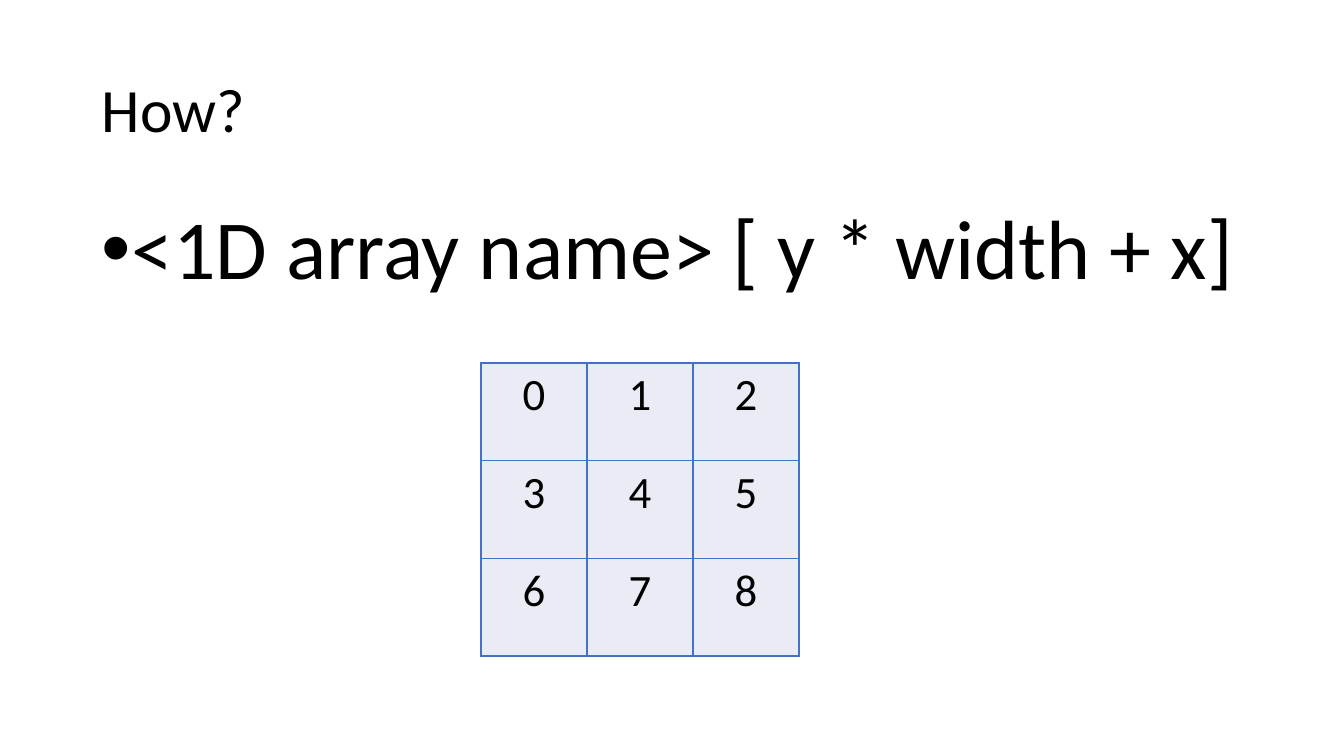
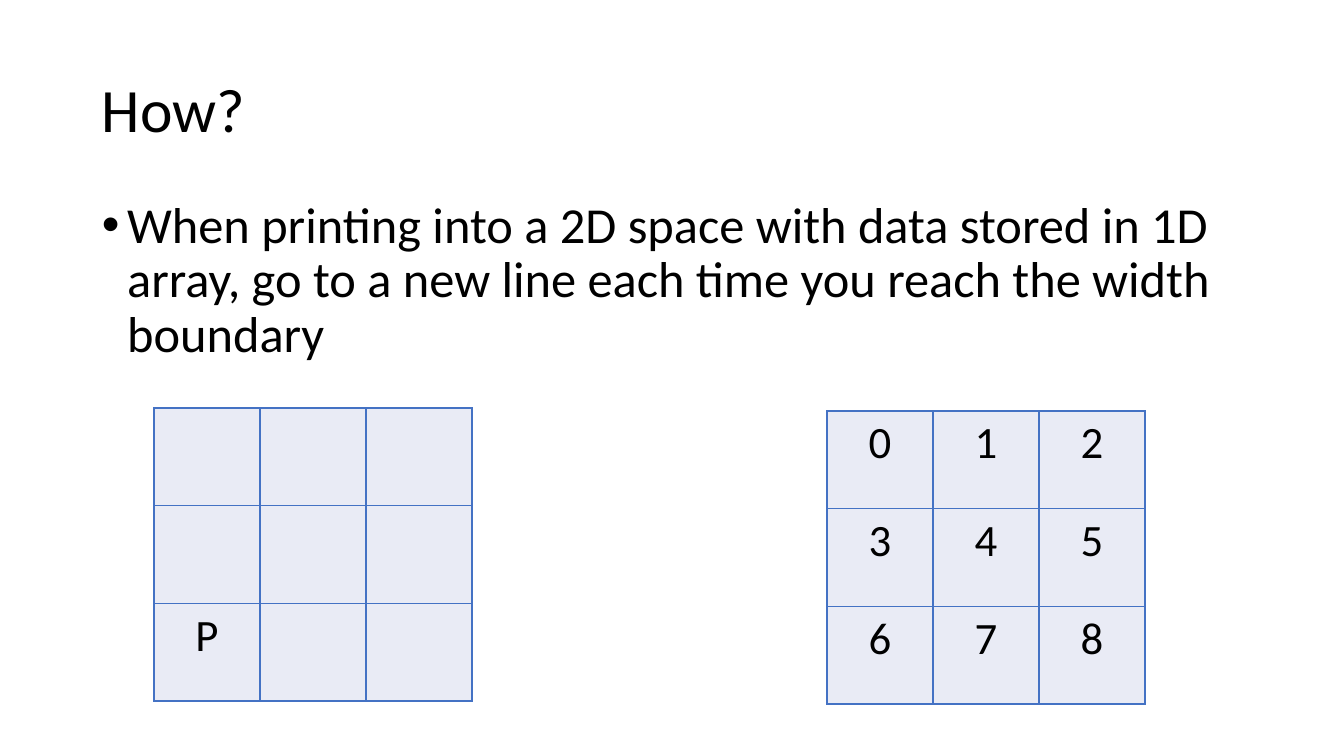
from lxml import etree
from pptx import Presentation
from pptx.dml.color import RGBColor
from pptx.enum import text
from pptx.oxml import ns
from pptx.util import Emu, Pt

COLORS = {"ink": "000000", "cell": "E9EBF5", "border": "4472C4"}
FONT = "Calibri"
PX = 914400 / 100.8
SLIDE_W, SLIDE_H = 1344, 756
MARGIN, CONTENT_W = 92, 1159
TITLE_TOP, TITLE_H = 40, 146
BODY_BOTTOM = 681
GRID_W, GRID_H = 318, 293

INDEXES = [["0", "1", "2"], ["3", "4", "5"], ["6", "7", "8"]]
PRINTED = [["", "", ""], ["", "", ""], ["P", "", ""]]

SLIDES = [
    {
        "title": "How?",
        "bullet": "<1D array name> [ y * width + x]",
        "bullet_size": 60,
        "bullet_top": 202,
        "grids": [(481, 363, INDEXES)],
    },
    {
        "title": "How?",
        "bullet": "When printing into a 2D space with data stored in 1D array, "
                  "go to a new line each time you reach the width boundary",
        "bullet_size": 36,
        "bullet_top": 195,
        "grids": [(827, 411, INDEXES), (154, 408, PRINTED)],
    },
]


def px(length):
    return Emu(round(length * PX))


def add_run(paragraph, words, size):
    run = paragraph.add_run()
    run.text = words
    run.font.name = FONT
    run.font.size = Pt(size)
    run.font.color.rgb = RGBColor.from_string(COLORS["ink"])


def add_words(slide, top, height, words, size, anchor):
    box = slide.shapes.add_textbox(px(MARGIN), px(top), px(CONTENT_W), px(height))
    frame = box.text_frame
    frame.word_wrap = True
    frame.vertical_anchor = anchor
    paragraph = frame.paragraphs[0]
    paragraph.line_spacing = 0.9
    add_run(paragraph, words, size)
    return paragraph


def add_bullet(paragraph):
    paragraph.space_before = Pt(10)
    properties = paragraph._p.get_or_add_pPr()
    indent = Pt(18)
    properties.set("marL", str(indent))
    properties.set("indent", str(-indent))
    etree.SubElement(properties, ns.qn("a:buFont"), typeface="Arial")
    etree.SubElement(properties, ns.qn("a:buChar"), char="•")


def add_borders(cell):
    properties = cell._tc.get_or_add_tcPr()
    for side in ("lnL", "lnR", "lnT", "lnB"):
        line = etree.SubElement(properties, ns.qn(f"a:{side}"), w=str(Pt(1)))
        fill = etree.SubElement(line, ns.qn("a:solidFill"))
        etree.SubElement(fill, ns.qn("a:srgbClr"), val=COLORS["border"])


def add_grid(slide, left, top, values):
    frame = slide.shapes.add_table(
        len(values), len(values[0]), px(left), px(top), px(GRID_W), px(GRID_H))
    grid = frame.table
    grid.first_row = False
    grid.horz_banding = False
    for row, row_values in enumerate(values):
        for column, value in enumerate(row_values):
            cell = grid.cell(row, column)
            add_borders(cell)
            cell.fill.solid()
            cell.fill.fore_color.rgb = RGBColor.from_string(COLORS["cell"])
            if value:
                paragraph = cell.text_frame.paragraphs[0]
                paragraph.alignment = text.PP_ALIGN.CENTER
                add_run(paragraph, value, 32)


def main():
    deck = Presentation()
    deck.slide_width, deck.slide_height = px(SLIDE_W), px(SLIDE_H)
    for content in SLIDES:
        slide = deck.slides.add_slide(deck.slide_layouts[6])
        add_words(slide, TITLE_TOP, TITLE_H, content["title"], 44,
                  text.MSO_ANCHOR.MIDDLE)
        top = content["bullet_top"]
        add_bullet(add_words(slide, top, BODY_BOTTOM - top, content["bullet"],
                             content["bullet_size"], text.MSO_ANCHOR.TOP))
        for left, grid_top, values in content["grids"]:
            add_grid(slide, left, grid_top, values)
    deck.save("out.pptx")


if __name__ == "__main__":
    main()
